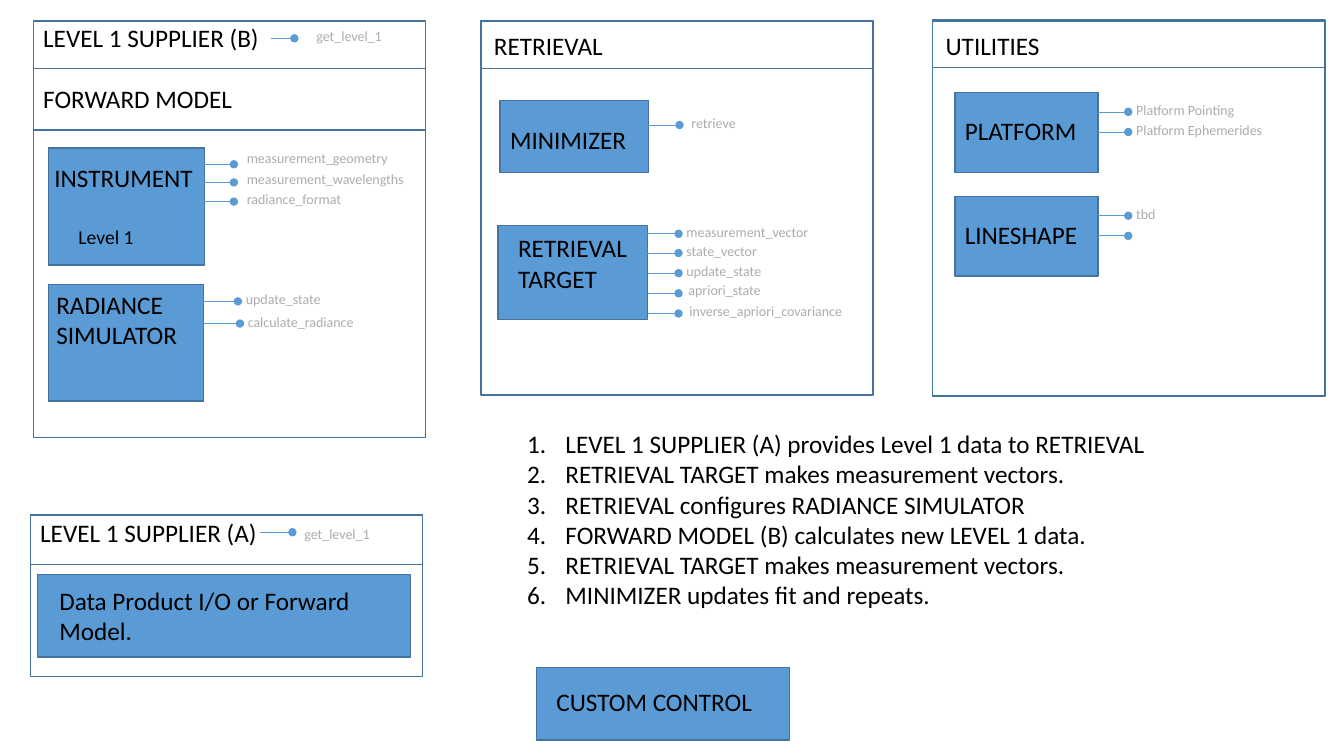
from lxml import etree
from pptx import Presentation
from pptx.dml.color import RGBColor
from pptx.enum.shapes import MSO_CONNECTOR as Connector, MSO_SHAPE as Shape
from pptx.enum.text import MSO_AUTO_SIZE as AutoSize
from pptx.oxml.ns import qn
from pptx.util import Emu, Pt

PX = 9144
FONT = "Calibri"
BLUE = RGBColor(0x5B, 0x9B, 0xD5)
EDGE = RGBColor(0x43, 0x73, 0x9E)
BLACK = RGBColor(0, 0, 0)
GREY = RGBColor(0xAF, 0xAB, 0xAB)
LIST_INDENT = 38
PORT_LABEL_HEIGHT = 27

PANELS = [
    {"frame": (33, 21, 389, 413), "header": (68, 61)},
    {"frame": (477, 21, 389, 371), "header": (21, 47)},
    {"frame": (30, 511, 389, 160), "header": (511, 49)},
    {"frame": (925, 21, 389, 372), "header": (20, 47)},
]

MODULES = [
    (48, 147, 155, 116),
    (48, 282, 154, 116),
    (496, 100, 147, 71),
    (494, 224, 148, 93),
    (947, 92, 142, 79),
    (947, 195, 142, 79),
    (37, 570, 370, 82),
    (532, 662, 251, 72),
]

LABELS = [
    ("LEVEL 1 SUPPLIER (B)", (33, 17, 236, 40), 18),
    ("FORWARD MODEL", (33, 78, 255, 40), 18),
    ("INSTRUMENT", (44, 156, 158, 40), 18),
    ("Level 1", (68, 218, 134, 34), 14),
    ("RADIANCE\nSIMULATOR", (46, 282, 145, 71), 18),
    ("RETRIEVAL", (480, 25, 255, 40), 18),
    ("MINIMIZER", (496, 118, 141, 41), 18),
    ("RETRIEVAL TARGET", (504, 226, 133, 71), 18),
    ("UTILITIES", (928, 25, 255, 40), 18),
    ("PLATFORM", (947, 109, 138, 40), 18),
    ("LINESHAPE", (947, 213, 138, 40), 18),
    ("LEVEL 1 SUPPLIER (A)", (30, 508, 255, 40), 18),
    ("Data Product I/O or Forward Model.", (49, 576, 350, 71), 18),
    ("CUSTOM CONTROL", (542, 676, 240, 40), 18),
]

PORTS = [
    ("get_level_1", (269, 292, 38), (304, 22, 121)),
    ("get_level_1", (258, 290, 528), (292, 516, 121)),
    ("measurement_geometry", (202, 232, 163), (235, 143, 168)),
    ("measurement_wavelengths", (202, 232, 181), (235, 164, 178)),
    ("radiance_format", (202, 232, 200), (235, 184, 178)),
    ("update_state", (201, 236, 299), (234, 283, 130)),
    ("calculate_radiance", (201, 238, 321), (236, 306, 130)),
    ("retrieve", (642, 674, 124), (676, 109, 130)),
    ("measurement_vector", (642, 673, 232), (671, 217, 149)),
    ("state_vector", (642, 673, 251), (671, 236, 130)),
    ("update_state", (643, 673, 271), (671, 256, 130)),
    ("apriori_state", (643, 673, 291), (673, 274, 130)),
    ("inverse_apriori_covariance", (643, 673, 311), (674, 295, 173)),
    ("Platform Pointing", (1089, 1119, 111), (1117, 96, 134)),
    ("Platform Ephemerides", (1089, 1119, 131), (1117, 116, 148)),
    ("tbd", (1089, 1119, 214), (1117, 199, 134)),
    (None, (1089, 1119, 234), None),
]

STEPS_PLACE = (513, 420, 652, 222)
STEPS = [
    "LEVEL 1 SUPPLIER (A) provides Level 1 data to RETRIEVAL",
    "RETRIEVAL TARGET makes measurement vectors.",
    "RETRIEVAL configures RADIANCE SIMULATOR",
    "FORWARD MODEL (B) calculates new LEVEL 1 data.",
    "RETRIEVAL TARGET makes measurement vectors.",
    "MINIMIZER updates fit and repeats.",
]


def emu(*lengths):
    return [Emu(length * PX) for length in lengths]


def add_box(slide, place, fill=None):
    box = slide.shapes.add_shape(Shape.RECTANGLE, *emu(*place))
    box.shadow.inherit = False
    if fill is None:
        box.fill.background()
    else:
        box.fill.solid()
        box.fill.fore_color.rgb = fill
    box.line.color.rgb = EDGE
    box.line.width = Pt(1)


def add_text(slide, text, place, size, color=BLACK):
    box = slide.shapes.add_textbox(*emu(*place))
    frame = box.text_frame
    frame.word_wrap = True
    frame.auto_size = AutoSize.SHAPE_TO_FIT_TEXT
    frame.text = text
    for para in frame.paragraphs:
        for span in para.runs:
            span.font.name = FONT
            span.font.size = Pt(size)
            span.font.color.rgb = color
    return frame


def add_pin(slide, start, end, y):
    pin = slide.shapes.add_connector(Connector.STRAIGHT, *emu(start, y, end, y))
    pin.line.color.rgb = BLUE
    pin.line.width = Pt(0.5)
    etree.SubElement(pin.line._get_or_add_ln(), qn("a:tailEnd"), type="oval")
    etree.SubElement(pin._element.spPr, qn("a:effectLst"))


def number_paragraphs(frame):
    indent = LIST_INDENT * PX
    for para in frame.paragraphs:
        properties = para._p.get_or_add_pPr()
        properties.set("marL", str(indent))
        properties.set("indent", str(-indent))
        etree.SubElement(properties, qn("a:buFont"), typeface="+mj-lt")
        etree.SubElement(properties, qn("a:buAutoNum"), type="arabicPeriod")


def main():
    deck = Presentation()
    deck.slide_width, deck.slide_height = emu(1333, 750)
    slide = deck.slides.add_slide(deck.slide_layouts[6])

    for panel in PANELS:
        left, _, width, _ = panel["frame"]
        top, height = panel["header"]
        add_box(slide, panel["frame"])
        add_box(slide, (left, top, width, height))
    for place in MODULES:
        add_box(slide, place, BLUE)
    for text, place, size in LABELS:
        add_text(slide, text, place, size)
    for name, pin, label in PORTS:
        add_pin(slide, *pin)
        if name:
            add_text(slide, name, (*label, PORT_LABEL_HEIGHT), 10, GREY)
    number_paragraphs(add_text(slide, "\n".join(STEPS), STEPS_PLACE, 18))

    deck.save("out.pptx")


if __name__ == "__main__":
    main()
